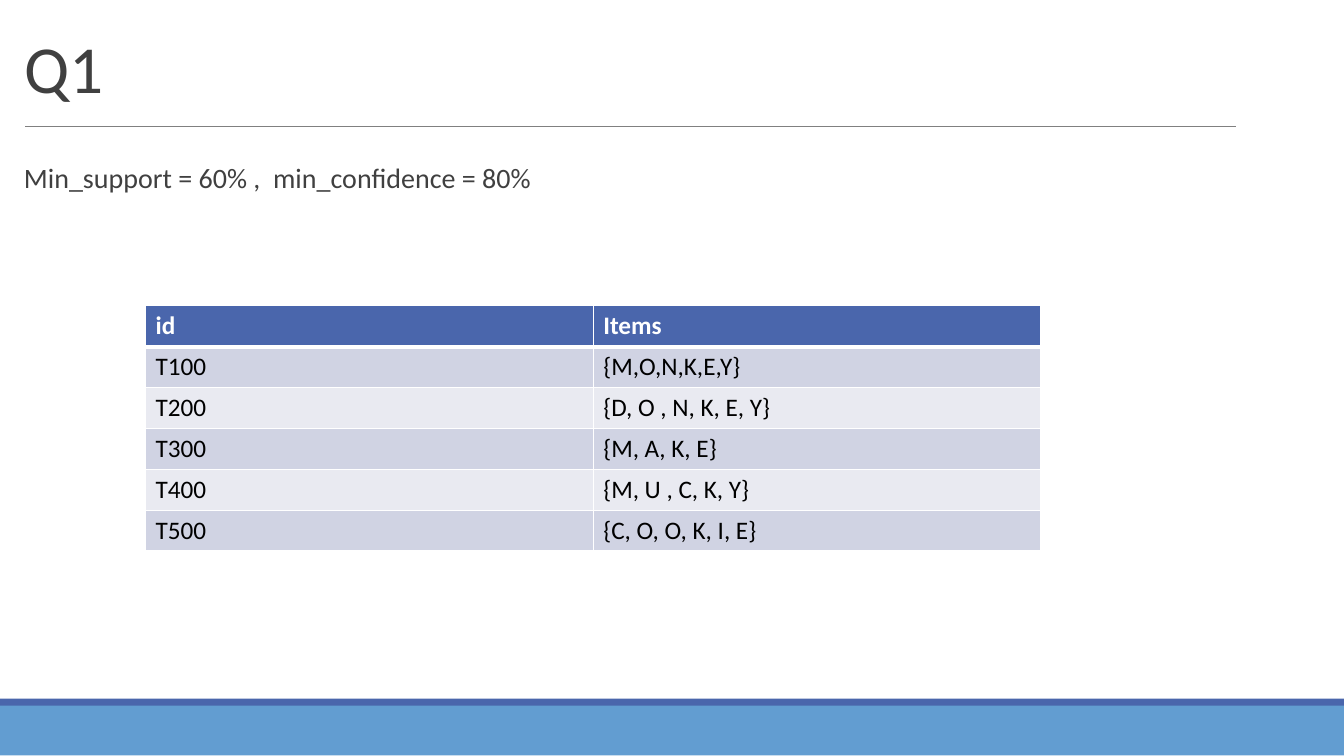
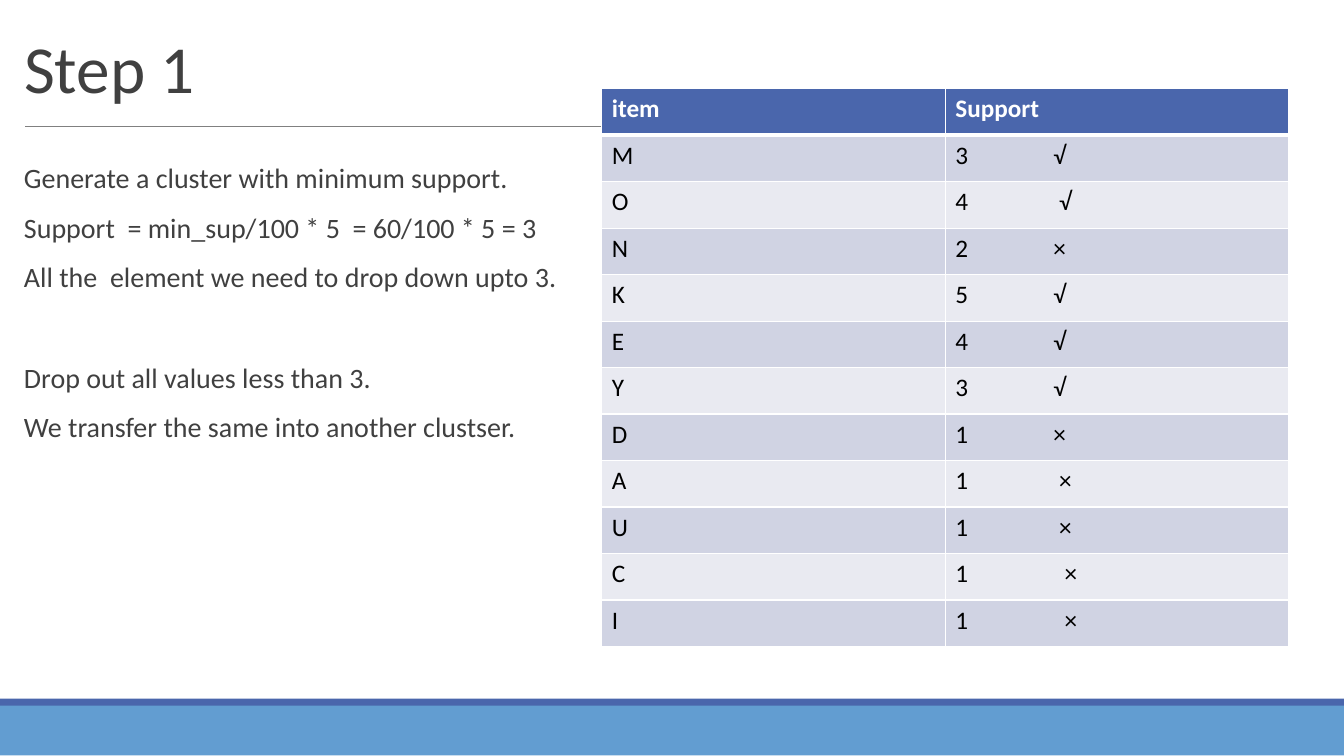
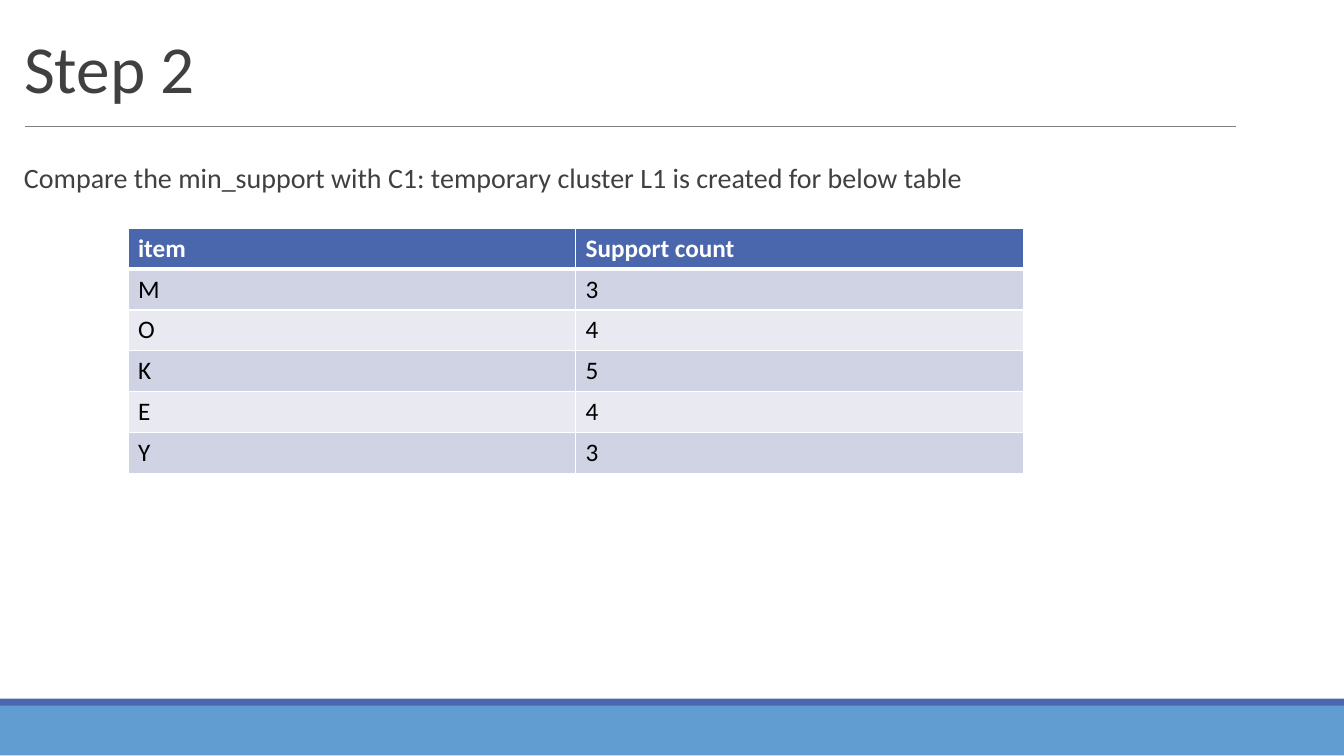
"""Build three slides that walk through frequent item sets step by step."""
from dataclasses import dataclass

from lxml.etree import SubElement
from pptx import Presentation
from pptx.dml.color import RGBColor as RGB
from pptx.enum.shapes import MSO_CONNECTOR as Connector, MSO_SHAPE as Shape
from pptx.enum.text import MSO_ANCHOR as Anchor, MSO_AUTO_SIZE as AutoSize, PP_ALIGN as Align
from pptx.oxml.ns import qn
from pptx.util import Pt


@dataclass(frozen=True)
class Theme:
    font: str = "Calibri"
    text: str = "404040"
    cell_text: str = "000000"
    white: str = "FFFFFF"
    accent: str = "4A66AC"
    band: str = "629DD1"
    rule: str = "808080"
    stripes: tuple = ("D0D3E3", "E9EAF1")
    title_size: int = 48
    body_size: int = 20
    cell_size: int = 18


THEME = Theme()
SLIDE_SIZE = (960, 540)
TITLE_BOX = (10, 12.5, 866, 67.5)
BODY_BOX = (10, 113.6, 937, 354)
BARS = [((0, 503.6, 960, 36), THEME.band), ((0, 499, 960, 5), THEME.accent)]
RULE = (18, 90, 883, 90)
SPACE_BEFORE, SECTION_SPACE = 12, 48

SLIDES = [
    {
        "title": "Q1",
        "sections": [["Min_support = 60% ,  min_confidence = 80%"]],
        "table_at": (104, 218.4),
        "column_width": 319.8,
        "row_height": 29.2,
        "rows": [
            ("id", "Items"),
            ("T100", "{M,O,N,K,E,Y}"),
            ("T200", "{D, O , N, K, E, Y}"),
            ("T300", "{M, A, K, E}"),
            ("T400", "{M, U , C, K, Y}"),
            ("T500", "{C, O, O, K, I, E}"),
        ],
    },
    {
        "title": "Step 1",
        "sections": [
            [
                "Generate a cluster with minimum support.",
                "Support  = min_sup/100 * 5  = 60/100 * 5 = 3",
                "All the  element we need to drop down upto 3.",
            ],
            [
                "Drop out all values less than 3.",
                "We transfer the same into another clustser.",
            ],
        ],
        "table_at": (429.9, 63.4),
        "column_width": 245.4,
        "row_height": 33.2,
        "rows": [
            ("item", "Support"),
            ("M", "3\t√"),
            ("O", "4\t√"),
            ("N", "2\t×"),
            ("K", "5\t√"),
            ("E", "4\t√"),
            ("Y", "3\t√"),
            ("D", "1\t×"),
            ("A", "1\t×"),
            ("U", "1\t×"),
            ("C", "1\t×"),
            ("I", "1\t×"),
        ],
        "mark_stops": {"O": 74, "A": 74, "U": 74, "C": 78, "I": 78},
    },
    {
        "title": "Step 2",
        "sections": [["Compare the min_support with C1: temporary cluster L1 is created for below table"]],
        "table_at": (91.4, 163),
        "column_width": 319.8,
        "row_height": 29.2,
        "rows": [
            ("item", "Support count"),
            ("M", "3"),
            ("O", "4"),
            ("K", "5"),
            ("E", "4"),
            ("Y", "3"),
        ],
    },
]
MARK_STOP = 70


def points(values):
    return [Pt(value) for value in values]


def apply(target, values):
    for name, value in values.items():
        setattr(target, name, value)


def write(paragraph, text, size, color, bold=False):
    run = paragraph.add_run()
    run.text = text
    apply(run.font, {"name": THEME.font, "size": Pt(size), "bold": bold})
    run.font.color.rgb = RGB.from_string(color)
    return run


def add_frame(slide):
    for box, color in BARS:
        bar = slide.shapes.add_shape(Shape.RECTANGLE, *points(box))
        bar.shadow.inherit = False
        bar.fill.solid()
        bar.fill.fore_color.rgb = RGB.from_string(color)
        bar.line.fill.background()
    rule = slide.shapes.add_connector(Connector.STRAIGHT, *points(RULE))
    rule.line.width = Pt(0.5)
    rule.line.color.rgb = RGB.from_string(THEME.rule)
    SubElement(rule.element.spPr, qn("a:effectLst"))


def add_title(slide, text):
    title = slide.shapes.title
    apply(title, dict(zip(("left", "top", "width", "height"), points(TITLE_BOX))))
    apply(title.text_frame, {"vertical_anchor": Anchor.BOTTOM, "auto_size": AutoSize.NONE,
                             "word_wrap": True})
    paragraph = title.text_frame.paragraphs[0]
    apply(paragraph, {"alignment": Align.LEFT, "line_spacing": 0.85})
    run = write(paragraph, text, THEME.title_size, THEME.text)
    run.font.element.set("spc", "-50") if hasattr(run.font, "element") else None


def add_body(slide, sections):
    frame = slide.shapes.add_textbox(*points(BODY_BOX)).text_frame
    apply(frame, {"word_wrap": True, "margin_right": 0})
    for section_index, lines in enumerate(sections):
        for line_index, line in enumerate(lines):
            first = section_index == line_index == 0
            paragraph = frame.paragraphs[0] if first else frame.add_paragraph()
            space = SPACE_BEFORE if line_index else SECTION_SPACE
            apply(paragraph, {"line_spacing": 0.9, "space_after": Pt(2),
                              "space_before": Pt(0 if first else space)})
            write(paragraph, line, THEME.body_size, THEME.text)


def add_borders(cell, row_index):
    properties = cell._tc.get_or_add_tcPr()
    thick_side = {0: "lnB", 1: "lnT"}.get(row_index)
    for side in ("lnL", "lnR", "lnT", "lnB"):
        width = Pt(3 if side == thick_side else 1)
        border = SubElement(properties, qn(f"a:{side}"), w=str(width))
        fill = SubElement(border, qn("a:solidFill"))
        SubElement(fill, qn("a:srgbClr"), val=THEME.white)


def add_tab_stop(paragraph, position):
    tabs = SubElement(paragraph._p.get_or_add_pPr(), qn("a:tabLst"))
    SubElement(tabs, qn("a:tab"), pos=str(Pt(position)), algn="l")


def add_table(slide, content):
    rows, column_width, row_height = (content[key] for key in ("rows", "column_width", "row_height"))
    size = (column_width * len(rows[0]), row_height * len(rows))
    table = slide.shapes.add_table(len(rows), len(rows[0]),
                                   *points(content["table_at"] + size)).table
    for row_index, values in enumerate(rows):
        header = row_index == 0
        table.rows[row_index].height = Pt(row_height)
        fill = THEME.accent if header else THEME.stripes[(row_index - 1) % 2]
        for column_index, value in enumerate(values):
            cell = table.cell(row_index, column_index)
            add_borders(cell, row_index)
            cell.fill.solid()
            cell.fill.fore_color.rgb = RGB.from_string(fill)
            paragraph = cell.text_frame.paragraphs[0]
            if "\t" in value:
                add_tab_stop(paragraph, content["mark_stops"].get(values[0], MARK_STOP))
            write(paragraph, value, THEME.cell_size,
                  THEME.white if header else THEME.cell_text, header)


def main():
    presentation = Presentation()
    apply(presentation, dict(zip(("slide_width", "slide_height"), points(SLIDE_SIZE))))
    title_only = presentation.slide_layouts[5]
    for content in SLIDES:
        slide = presentation.slides.add_slide(title_only)
        add_frame(slide)
        add_title(slide, content["title"])
        add_body(slide, content["sections"])
        add_table(slide, content)
    presentation.save("out.pptx")


if __name__ == "__main__":
    main()
